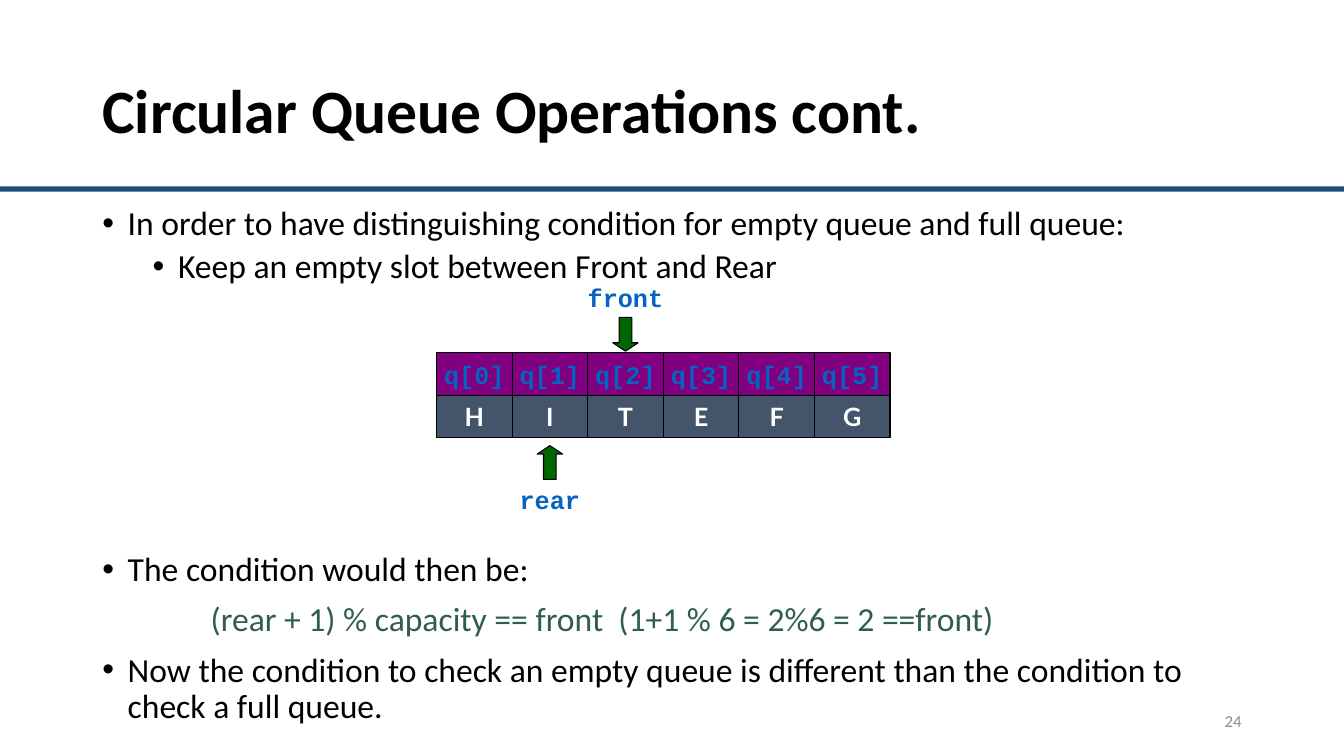
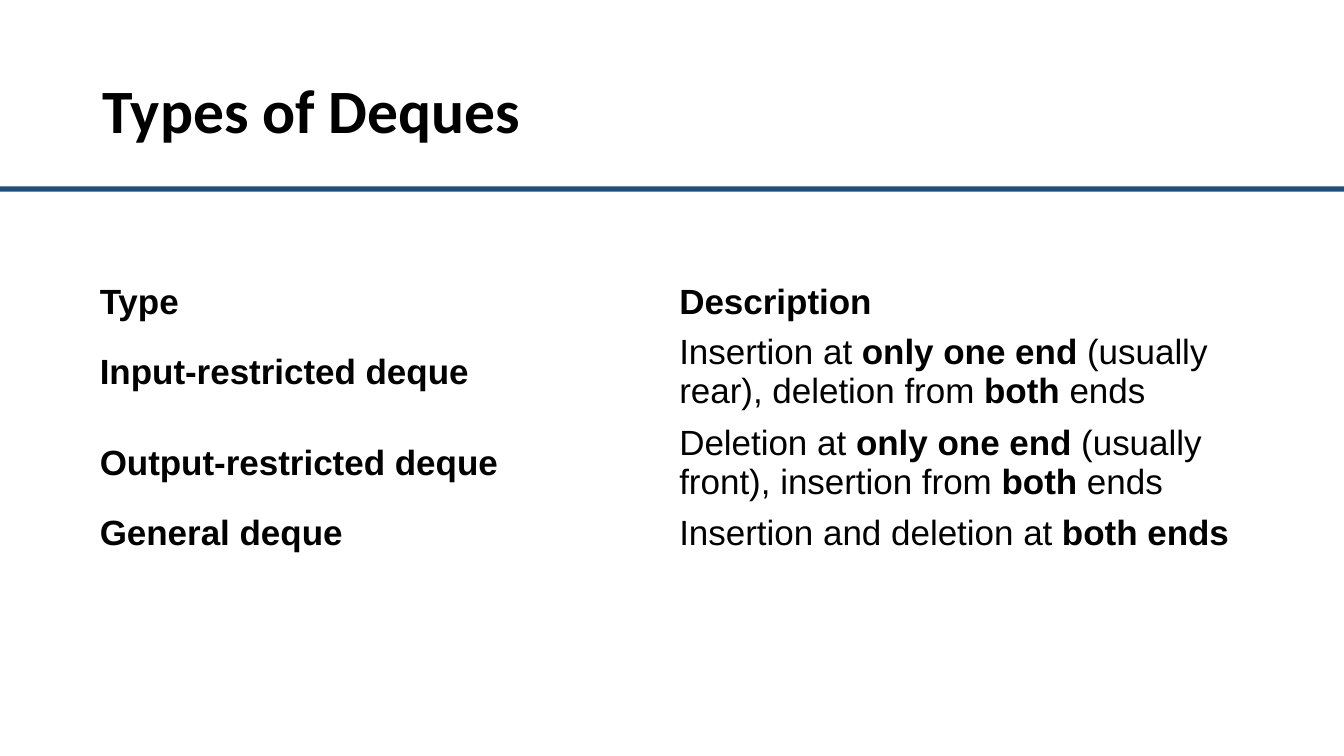
from dataclasses import dataclass
from typing import NamedTuple

from lxml.etree import SubElement
from pptx import Presentation
from pptx.dml.color import RGBColor
from pptx.enum.shapes import MSO_SHAPE
from pptx.enum.text import MSO_ANCHOR, PP_ALIGN
from pptx.oxml.ns import qn
from pptx.slide import Slide
from pptx.text.text import TextFrame
from pptx.util import Cm, Pt


class Face(NamedTuple):
    """Font, size, colour and weight of a run."""
    font: str
    size: float
    color: str
    bold: bool = False


class Box(NamedTuple):
    """Left, top, width and height in centimetres."""
    left: float
    top: float
    width: float
    height: float

    def lengths(self) -> tuple[Cm, ...]:
        return tuple(Cm(n) for n in self)


@dataclass(frozen=True)
class Theme:
    rule: str = "1F4E79"
    index: str = "800080"
    slot: str = "44546A"
    arrow: str = "006600"
    line: str = "000000"
    title: Face = Face("Calibri", 44, "000000", True)
    body: Face = Face("Calibri", 24, "000000")
    code: Face = Face("Calibri", 24, "2F5F48")
    page: Face = Face("Calibri", 12, "8C8C8C")
    mono: Face = Face("Courier New", 18, "0563C1", True)
    value: Face = Face("Lato", 18, "FFFFFF", True)
    table: Face = Face("Arial", 25, "000000")


class Item(NamedTuple):
    text: str
    face: Face
    margin: float = 0.64
    before: float = 10
    bullet: bool = True


class Mark(NamedTuple):
    """An arrow and its label, centred on one slot of the queue."""
    text: str
    slot: int
    shape: MSO_SHAPE
    top: float
    label: float


THEME = Theme()
WIDTH, HEIGHT = 33.87, 19.05
LEFT, SPAN = 2.33, 29.21
HANG = 0.64

QUEUE = Box(11, 8.89, 1.905, 1.065)
VALUES = "HITEFG"
MARKS = (
    Mark("front", 2, MSO_SHAPE.DOWN_ARROW, 8, 6.99),
    Mark("rear", 1, MSO_SHAPE.UP_ARROW, 11.23, 12.07),
)
GOAL = (
    Item("In order to have distinguishing condition for empty queue and full queue:", THEME.body),
    Item("Keep an empty slot between Front and Rear", THEME.body, 1.91, 5),
)
TEST = (
    Item("The condition would then be:", THEME.body),
    Item("(rear + 1) % capacity == front  (1+1 % 6 = 2%6 = 2 ==front)", THEME.code, 2.73, bullet=False),
    Item("Now the condition to check an empty queue is different than "
         "the condition to check a full queue.", THEME.body),
)
# Asterisks enclose bold words.
TYPES = (
    ("*Type*", "*Description*"),
    ("*Input-restricted deque*", "Insertion at *only one end* (usually rear), deletion from *both* ends"),
    ("*Output-restricted deque*", "Deletion at *only one end* (usually front), insertion from *both* ends"),
    ("*General deque*", "Insertion and deletion at *both ends*"),
)
ROWS = (1.2, 2.22, 2.22, 1.2)


def style(run, face: Face) -> None:
    font = run.font
    font.name, font.size, font.bold = face.font, Pt(face.size), face.bold
    font.color.rgb = RGBColor.from_string(face.color)


def write(frame: TextFrame, text: str, face: Face, align: PP_ALIGN = PP_ALIGN.LEFT,
          anchor: MSO_ANCHOR = MSO_ANCHOR.MIDDLE, wrap: bool = True) -> None:
    frame.text = text
    frame.word_wrap = wrap
    frame.vertical_anchor = anchor
    line = frame.paragraphs[0]
    line.alignment = align
    style(line.runs[0], face)


def add_text(slide: Slide, box: Box) -> TextFrame:
    return slide.shapes.add_textbox(*box.lengths()).text_frame


def add_block(slide: Slide, kind: MSO_SHAPE, box: Box, fill: str, line: bool = True):
    shape = slide.shapes.add_shape(kind, *box.lengths())
    shape.shadow.inherit = False
    shape.fill.solid()
    shape.fill.fore_color.rgb = RGBColor.from_string(fill)
    if line:
        shape.line.color.rgb = RGBColor.from_string(THEME.line)
        shape.line.width = Pt(0.75)
    else:
        shape.line.fill.background()
    return shape


def add_items(slide: Slide, box: Box, items: tuple[Item, ...]) -> None:
    frame = add_text(slide, box)
    frame.word_wrap = True
    for n, item in enumerate(items):
        line = frame.add_paragraph() if n else frame.paragraphs[0]
        line.text = item.text
        line.line_spacing = 0.9
        line.space_before = Pt(item.before if n else 0)
        props = line._p.get_or_add_pPr()
        props.set("marL", str(Cm(item.margin)))
        props.set("indent", str(-Cm(HANG) if item.bullet else 0))
        if item.bullet:
            SubElement(props, qn("a:buFont")).set("typeface", "Arial")
            SubElement(props, qn("a:buChar")).set("char", "•")
        style(line.runs[0], item.face)


def add_page(deck, title: str) -> Slide:
    """Add a blank slide with the shared rule and title."""
    slide = deck.slides.add_slide(deck.slide_layouts[6])
    add_block(slide, MSO_SHAPE.RECTANGLE, Box(0, 4.7, WIDTH, 0.13), THEME.rule, False)
    frame = add_text(slide, Box(LEFT, 1.02, SPAN, 3.68))
    write(frame, title, THEME.title)
    frame.paragraphs[0].line_spacing = 0.9
    return slide


def add_queue(slide: Slide) -> None:
    for n, value in enumerate(VALUES):
        rows = ((f"q[{n}]", THEME.index, THEME.mono), (value, THEME.slot, THEME.value))
        for row, (text, fill, face) in enumerate(rows):
            box = QUEUE._replace(left=QUEUE.left + n * QUEUE.width, top=QUEUE.top + row * QUEUE.height)
            cell = add_block(slide, MSO_SHAPE.RECTANGLE, box, fill)
            write(cell.text_frame, text, face, PP_ALIGN.CENTER, wrap=False)


def add_mark(slide: Slide, mark: Mark) -> None:
    mid = QUEUE.left + (mark.slot + 0.5) * QUEUE.width
    wide, label = 0.64, 2.74
    arrow = add_block(slide, mark.shape, Box(mid - wide / 2, mark.top, wide, 0.85), THEME.arrow)
    arrow.adjustments[0], arrow.adjustments[1] = 0.5, 0.33
    frame = add_text(slide, Box(mid - label / 2, mark.label, label, 1.02))
    write(frame, mark.text, THEME.mono, PP_ALIGN.CENTER, MSO_ANCHOR.TOP)


def add_types(slide: Slide) -> None:
    box = Box(2.26, 6.99, SPAN, sum(ROWS))
    table = slide.shapes.add_table(len(TYPES), len(TYPES[0]), *box.lengths()).table
    table.first_row = table.horz_banding = False
    for row, high, texts in zip(table.rows, ROWS, TYPES):
        row.height = Cm(high)
        for cell, text in zip(row.cells, texts):
            cell.fill.background()
            cell.vertical_anchor = MSO_ANCHOR.MIDDLE
            cell.margin_top = cell.margin_bottom = Cm(0.09)
            line = cell.text_frame.paragraphs[0]
            for n, part in enumerate(text.split("*")):
                if part:
                    run = line.add_run()
                    run.text = part
                    style(run, THEME.table._replace(bold=n % 2 == 1))


def main() -> None:
    deck = Presentation()
    deck.slide_width, deck.slide_height = Cm(WIDTH), Cm(HEIGHT)

    slide = add_page(deck, "Circular Queue Operations cont.")
    add_items(slide, Box(LEFT, 5.08, SPAN, 2.3), GOAL)
    add_items(slide, Box(LEFT, 13.8, SPAN, 4.6), TEST)
    write(add_text(slide, Box(23.92, 17.66, 7.62, 1.01)), "24", THEME.page, PP_ALIGN.RIGHT)
    add_queue(slide)
    for mark in MARKS:
        add_mark(slide, mark)

    add_types(add_page(deck, "Types of Deques"))
    deck.save("out.pptx")


if __name__ == "__main__":
    main()
